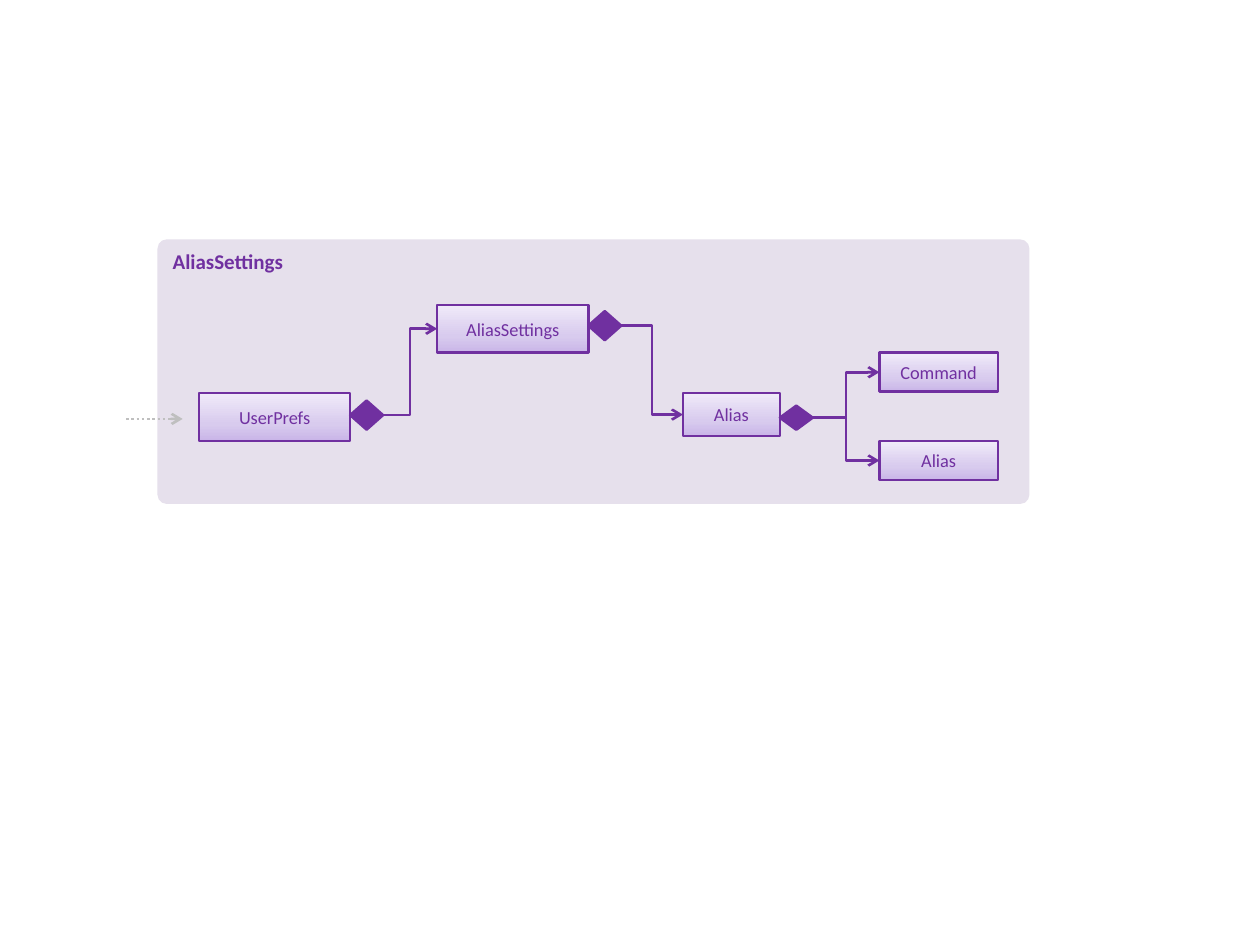
import copy
import dataclasses
import typing

import pptx
import pptx.dml.color
import pptx.enum.dml
import pptx.enum.shapes
import pptx.enum.text
import pptx.oxml
import pptx.oxml.ns
import pptx.util

RGBColor = pptx.dml.color.RGBColor
Shapes = pptx.enum.shapes.MSO_SHAPE
Align = pptx.enum.text.PP_ALIGN
Anchor = pptx.enum.text.MSO_ANCHOR

PURPLE = RGBColor(0x70, 0x30, 0xA0)
PANEL = RGBColor(0xE6, 0xE0, 0xEC)
GREY = RGBColor(0xBF, 0xBF, 0xBF)
GRADIENT = (
    (0, RGBColor(0xC9, 0xB5, 0xE8)),
    (0.35, RGBColor(0xD8, 0xCB, 0xEE)),
    (1, RGBColor(0xF0, 0xEA, 0xF9)),
)
COLUMNS, ROWS = 100, 75
LEFT_SITE, RIGHT_SITE = 1, 3
LINE_WIDTH = pptx.util.Pt(1.5)


@dataclasses.dataclass(frozen=True)
class Frame:
    column: float
    row: float
    columns: float
    rows: float


@dataclasses.dataclass(frozen=True)
class ClassBox:
    label: str
    frame: Frame
    diamond_row: float = 0
    diamond_rows: float = 0
    members: tuple[str, ...] = ()


PANEL_FRAME = Frame(12.5, 19, 69.2, 21)
CLASSES = {
    "settings": ClassBox("AliasSettings", Frame(34.7, 24.2, 12, 3.8), 24.7, 2.3, ("alias",)),
    "alias": ClassBox("Alias", Frame(54.2, 31.2, 7.7, 3.4), 32.2, 1.9, ("command", "name")),
    "command": ClassBox("Command", Frame(69.8, 28, 9.4, 3.1)),
    "name": ClassBox("Alias", Frame(69.8, 35, 9.4, 3.1)),
    "preferences": ClassBox("UserPrefs", Frame(15.8, 31.2, 12, 3.8), 31.8, 2.3, ("settings",)),
}
DIAMOND_COLUMNS = 2.6

deck = pptx.Presentation()
deck.slide_width = pptx.util.Inches(10)
deck.slide_height = pptx.util.Inches(7.5)
slide = deck.slides.add_slide(deck.slide_layouts[6])


def across(columns: float) -> int:
    return round(deck.slide_width * columns / COLUMNS)


def down(rows: float) -> int:
    return round(deck.slide_height * rows / ROWS)


def apply(target: typing.Any, values: dict[str, typing.Any]) -> None:
    for name, value in values.items():
        setattr(target, name, value)


def add_shape(kind: Shapes, frame: Frame, fill: RGBColor | None, outlined: bool = True):
    shape = slide.shapes.add_shape(
        kind, across(frame.column), down(frame.row), across(frame.columns), down(frame.rows)
    )
    shape.shadow.inherit = False
    if fill is not None:
        shape.fill.solid()
        shape.fill.fore_color.rgb = fill
    if outlined:
        shape.line.color.rgb = PURPLE
        shape.line.width = LINE_WIDTH
    else:
        shape.line.fill.background()
    return shape


def fill_gradient(shape) -> None:
    shape.fill.gradient()
    shape.fill.gradient_angle = 90
    stop_list = shape.element.spPr.find(".//" + pptx.oxml.ns.qn("a:gsLst"))
    stop_list.insert(1, copy.deepcopy(stop_list[0]))
    for stop, (position, color) in zip(shape.fill.gradient_stops, GRADIENT):
        stop.position = position
        stop.color.rgb = color


def write(shape, text: str, size: float, bold: bool, align: Align, anchor: Anchor) -> None:
    apply(shape.text_frame, {"word_wrap": True, "vertical_anchor": anchor})
    para = shape.text_frame.paragraphs[0]
    para.alignment = align
    span = para.add_run()
    span.text = text
    apply(span.font, {"name": "Calibri", "size": pptx.util.Pt(size), "bold": bold})
    span.font.color.rgb = PURPLE


def add_arrow(start: tuple[float, float], end: tuple[float, float], color: RGBColor):
    arrow = slide.shapes.add_connector(
        pptx.enum.shapes.MSO_CONNECTOR.ELBOW,
        across(start[0]), down(start[1]), across(end[0]), down(end[1]),
    )
    arrow.line.color.rgb = color
    arrow.line.width = LINE_WIDTH
    outline = arrow.element.spPr.find(pptx.oxml.ns.qn("a:ln"))
    namespace = pptx.oxml.ns.nsdecls("a")
    outline.append(pptx.oxml.parse_xml(f'<a:tailEnd {namespace} type="arrow"/>'))
    arrow.element.spPr.append(pptx.oxml.parse_xml(f"<a:effectLst {namespace}/>"))
    return arrow


def add_class(entry: ClassBox):
    box = add_shape(Shapes.RECTANGLE, entry.frame, None)
    fill_gradient(box)
    write(box, entry.label, 10.5, False, Align.CENTER, Anchor.MIDDLE)
    return box


def add_composition(owner: ClassBox) -> None:
    edge = owner.frame.column + owner.frame.columns
    frame = Frame(edge, owner.diamond_row, DIAMOND_COLUMNS, owner.diamond_rows)
    diamond = add_shape(Shapes.FLOWCHART_DECISION, frame, PURPLE)
    start = (edge + DIAMOND_COLUMNS, frame.row + frame.rows / 2)
    for member in owner.members:
        target = CLASSES[member].frame
        arrow = add_arrow(start, (target.column, target.row + target.rows / 2), PURPLE)
        arrow.begin_connect(diamond, RIGHT_SITE)
        arrow.end_connect(boxes[member], LEFT_SITE)


panel = add_shape(Shapes.ROUNDED_RECTANGLE, PANEL_FRAME, PANEL, outlined=False)
panel.adjustments[0] = 0.035
write(panel, "AliasSettings", 12, True, Align.LEFT, Anchor.TOP)

entry_arrow = add_arrow((10, 33.25), (14.5, 33.25), GREY)
entry_arrow.line.dash_style = pptx.enum.dml.MSO_LINE.ROUND_DOT

boxes = {key: add_class(entry) for key, entry in CLASSES.items()}
for entry in CLASSES.values():
    if entry.members:
        add_composition(entry)

deck.save("out.pptx")
